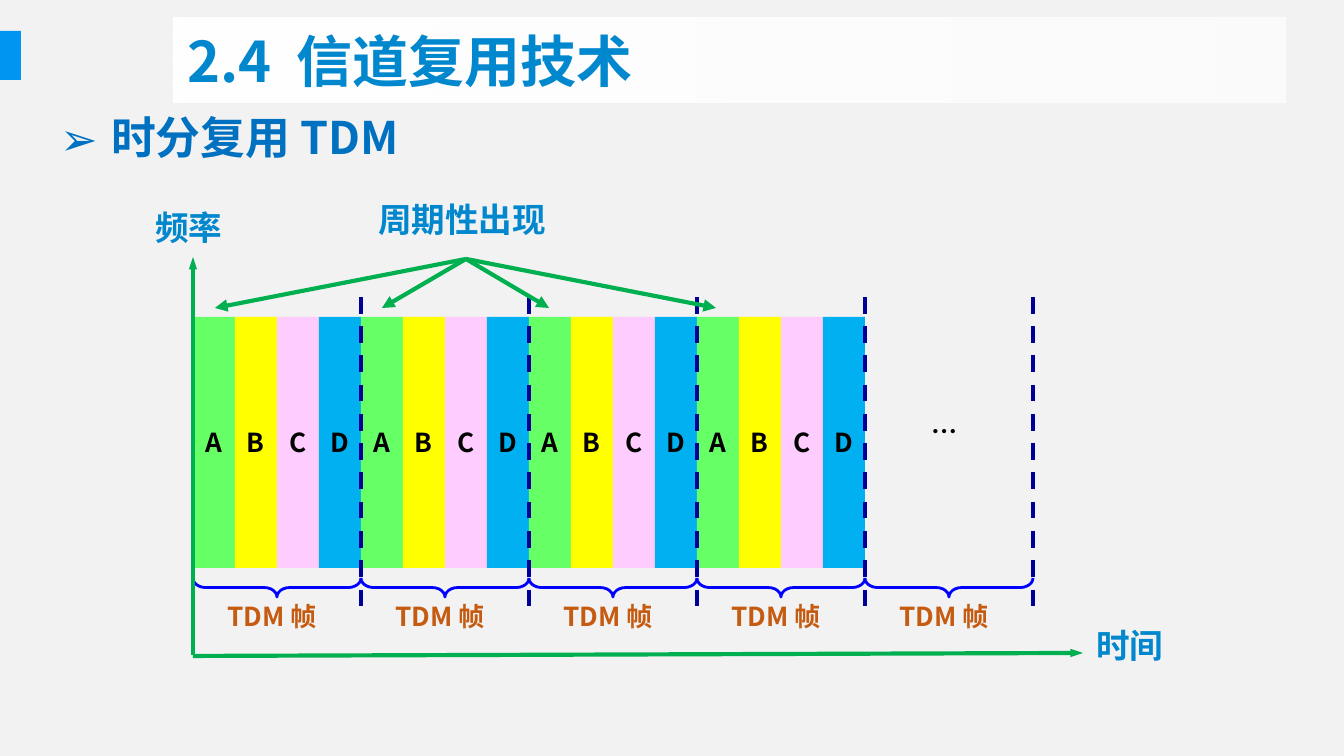
from lxml import etree
from pptx import Presentation
from pptx import util as u
from pptx.dml.color import RGBColor
from pptx.enum import dml, shapes, text
from pptx.oxml.ns import qn

# Content
TITLE = "2.4  信道复用技术"
HEADING = "时分复用 TDM"
FRAME_LABEL = "TDM 帧"
GREEN = RGBColor(0x00, 0xB0, 0x50)
NAVY = RGBColor(0x00, 0x00, 0x99)
BRACE_BLUE = RGBColor(0x00, 0x00, 0xFF)
ACCENT = RGBColor(0x00, 0x95, 0xF0)
LABEL_BLUE = RGBColor(0x00, 0x87, 0xCD)
HEADING_BLUE = RGBColor(0x00, 0x70, 0xC0)
BROWN = RGBColor(0xC5, 0x5A, 0x11)
BLACK = RGBColor(0x00, 0x00, 0x00)
WHITE = RGBColor(0xFF, 0xFF, 0xFF)
BACKGROUND = RGBColor(0xF2, 0xF2, 0xF2)
SLOTS = [
    ("A", RGBColor(0x66, 0xFF, 0x66)),
    ("B", RGBColor(0xFF, 0xFF, 0x00)),
    ("C", RGBColor(0xFF, 0xCC, 0xFF)),
    ("D", RGBColor(0x00, 0xB0, 0xF0)),
]
LABELS = [  # text, left, top, width, height
    ("频率", 142, 205, 96, 50),
    ("时间", 1083, 623, 96, 50),
    ("周期性出现", 365, 197, 196, 50),
]

# Geometry in px
SCALE = 914400 / 134.4
FONT = "Noto Sans CJK SC"
LEFT, SLOT_WIDTH = 193, 42
FRAME_WIDTH = SLOT_WIDTH * len(SLOTS)
FRAMES, FILLED_FRAMES = 5, 4
BAR_TOP, BAR_HEIGHT = 317, 251
BRACE_TOP, BRACE_DEPTH = 578, 19


def px(value):
    return u.Emu(round(value * SCALE))


def box(*lengths):
    return [px(length) for length in lengths]


def write(shape, words, size, color):
    shape.text_frame.text = words
    paragraph = shape.text_frame.paragraphs[0]
    for run in paragraph.runs:
        run.font.size, run.font.bold, run.font.name = u.Pt(size), True, FONT
        run.font.color.rgb = color
        etree.SubElement(run.font._element, qn("a:ea"), typeface=FONT)
    return paragraph


def add_label(words, left, top, width, height, size, color):
    label = slide.shapes.add_textbox(*box(left, top, width, height))
    label.text_frame.word_wrap = False
    label.text_frame.auto_size = text.MSO_AUTO_SIZE.SHAPE_TO_FIT_TEXT
    paragraph = write(label, words, size, color)
    paragraph.line_spacing = 0.9
    return paragraph


def add_shape(kind, left, top, width, height, fill=None):
    shape = slide.shapes.add_shape(kind, *box(left, top, width, height))
    shape.shadow.inherit = False
    if fill is None:
        shape.fill.background()
    else:
        shape.fill.solid()
        shape.fill.fore_color.rgb = fill
    shape.line.fill.background()
    return shape


def add_line(start, end, color, head=None):
    line = slide.shapes.add_connector(shapes.MSO_CONNECTOR.STRAIGHT, *box(*start, *end))
    line.line.color.rgb, line.line.width = color, u.Pt(2.25)
    if head:
        etree.SubElement(line.line._get_or_add_ln(), qn("a:tailEnd"),
                         type="triangle", w=head, len="med")
    etree.SubElement(line._element.spPr, qn("a:effectLst"))
    return line


presentation = Presentation()
presentation.slide_width, presentation.slide_height = px(1344), px(756)
slide = presentation.slides.add_slide(presentation.slide_layouts[6])
slide.background.fill.solid()
slide.background.fill.fore_color.rgb = BACKGROUND
RECTANGLE = shapes.MSO_SHAPE.RECTANGLE

# Accent block and title band
add_shape(RECTANGLE, -1, 31, 22, 49, ACCENT)
title = add_shape(RECTANGLE, 174, 18, 1112, 85, WHITE)
title.fill.gradient()
title.fill.gradient_angle = 0
for stop in title.fill.gradient_stops:
    stop.color.rgb = WHITE
last_color = title._element.spPr.findall(".//" + qn("a:srgbClr"))[-1]
etree.SubElement(last_color, qn("a:alpha"), val="67000")
title.text_frame.vertical_anchor = text.MSO_ANCHOR.MIDDLE
write(title, TITLE, 30, LABEL_BLUE).alignment = text.PP_ALIGN.LEFT

# Bulleted heading
heading = slide.shapes.add_textbox(*box(47, 103, 1238, 67))
heading.text_frame.word_wrap = True
properties = write(heading, HEADING, 24, HEADING_BLUE)._p.get_or_add_pPr()
properties.set("marL", str(px(51)))
properties.set("indent", str(-px(51)))
etree.SubElement(properties, qn("a:buFont"), typeface=FONT)
etree.SubElement(properties, qn("a:buChar"), char="➢")

# Time slots
for frame in range(FILLED_FRAMES):
    for index, (letter, color) in enumerate(SLOTS):
        left = LEFT + frame * FRAME_WIDTH + index * SLOT_WIDTH
        slot = add_shape(RECTANGLE, left, BAR_TOP, SLOT_WIDTH, BAR_HEIGHT, color)
        slot.text_frame.word_wrap = False
        slot.text_frame.vertical_anchor = text.MSO_ANCHOR.MIDDLE
        write(slot, letter, 14, BLACK).alignment = text.PP_ALIGN.CENTER
add_label("…", 918, 409, 52, 44, 14, BLACK).line_spacing = 1.0

# Frame braces, labels and dashed boundaries
for frame in range(FRAMES):
    left = LEFT + frame * FRAME_WIDTH
    brace = add_shape(shapes.MSO_SHAPE.LEFT_BRACE,
                      left + (FRAME_WIDTH - BRACE_DEPTH) / 2,
                      BRACE_TOP + (BRACE_DEPTH - FRAME_WIDTH) / 2,
                      BRACE_DEPTH, FRAME_WIDTH)
    brace.rotation = 270
    brace.adjustments[0] = 0.67
    brace.line.color.rgb, brace.line.width = BRACE_BLUE, u.Pt(1.5)
    add_label(FRAME_LABEL, left + 21, 597, 126, 42, 14, BROWN)
    right = left + FRAME_WIDTH
    boundary = add_line((right, 297), (right, 617), NAVY)
    boundary.line.dash_style = dml.MSO_LINE.DASH

# Axes
add_line((LEFT, 656), (1083, 653), GREEN, "sm")
add_line((LEFT, 655), (LEFT, 257), GREEN, "sm")

# Arrows to each recurring slot A
for frame in range(FILLED_FRAMES):
    add_line((466, 259), (215 + frame * 167, 308), GREEN, "med")

for words, *place in LABELS:
    add_label(words, *place, 18, LABEL_BLUE)

presentation.save("out.pptx")
